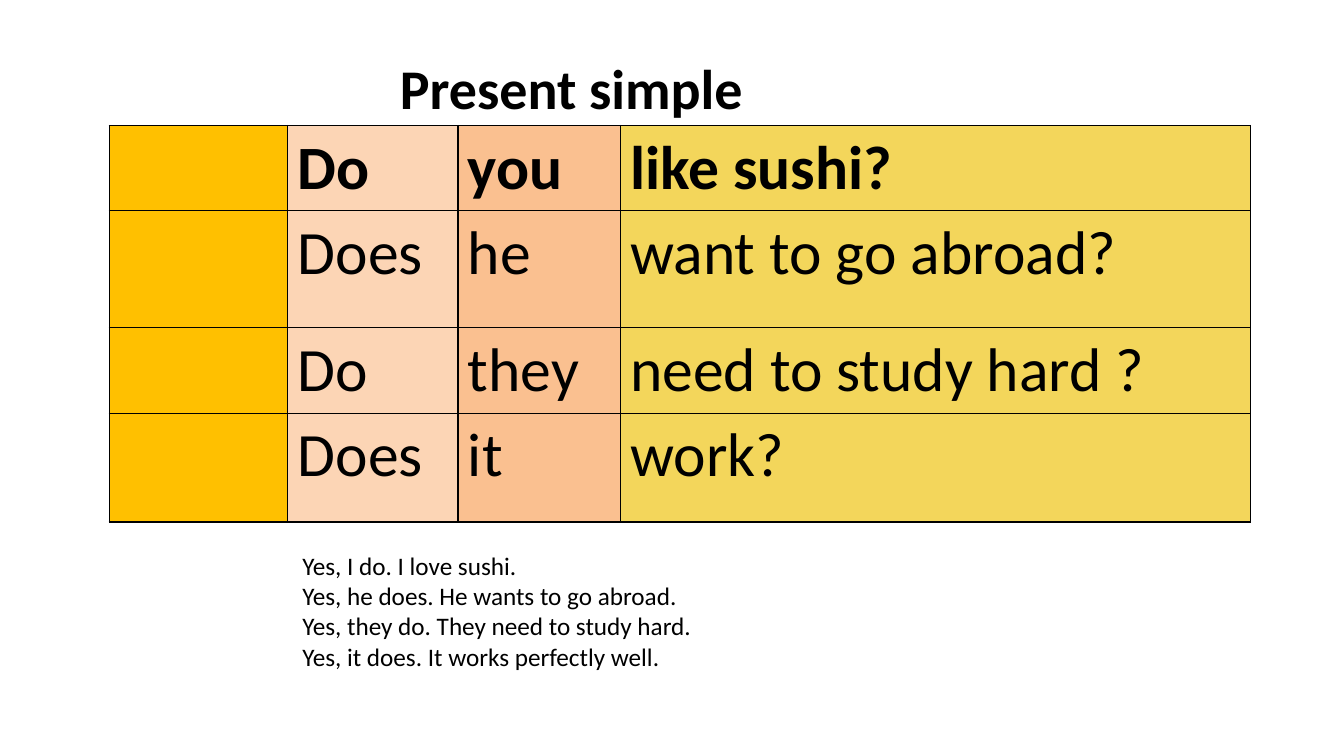
from dataclasses import dataclass

import pptx
import pptx.dml.color
import pptx.oxml
import pptx.oxml.ns
import pptx.presentation
import pptx.slide
import pptx.table
import pptx.text.text
import pptx.util
from pptx.dml.color import RGBColor
from pptx.util import Cm

BLACK = RGBColor(0x00, 0x00, 0x00)
AMBER = RGBColor(0xFF, 0xC0, 0x00)
PEACH = RGBColor(0xFC, 0xD5, 0xB5)
APRICOT = RGBColor(0xFA, 0xC0, 0x90)
YELLOW = RGBColor(0xF3, 0xD6, 0x5B)
FONT = "Calibri"


@dataclass(frozen=True)
class Column:
    width: float
    fill: RGBColor


@dataclass(frozen=True)
class Question:
    height: float
    words: tuple[str, str, str, str]
    bold: bool = False


@dataclass(frozen=True)
class TextBlock:
    left: float
    top: float
    width: float
    height: float
    size: int
    lines: tuple[str, ...]
    bold: bool = False


COLUMNS = (
    Column(4.5, AMBER),
    Column(4.29, PEACH),
    Column(4.09, APRICOT),
    Column(15.88, YELLOW),
)
QUESTIONS = (
    Question(2.03, ("", "Do", "you", "like sushi?"), bold=True),
    Question(2.95, ("", "Does", "he", "want to go abroad?")),
    Question(2.13, ("", "Do", "they", "need to study hard ?")),
    Question(2.74, ("", "Does", "it", "work?")),
)
ANSWERS = TextBlock(7.37, 13.74, 16.94, 3.33, 18, (
    "Yes, I do. I love sushi.",
    "Yes, he does. He wants to go abroad.",
    "Yes, they do. They need to study hard.",
    "Yes, it does. It works perfectly well.",
))
TITLE = TextBlock(9.83, 1.22, 15.93, 1.96, 40, ("Present simple",), bold=True)


def style_paragraph(para: pptx.text.text._Paragraph, size: int, bold: bool) -> None:
    para.font.name = FONT
    para.font.size = pptx.util.Pt(size)
    para.font.bold = bold
    para.font.color.rgb = BLACK


def add_borders(cell: pptx.table._Cell) -> None:
    properties = cell._tc.get_or_add_tcPr()
    for position, side in enumerate(("lnL", "lnR", "lnT", "lnB")):
        border = pptx.oxml.parse_xml(
            f'<a:{side} {pptx.oxml.ns.nsdecls("a")} w="12700">'
            f'<a:solidFill><a:srgbClr val="{BLACK}"/></a:solidFill></a:{side}>'
        )
        properties.insert(position, border)


def draw_questions(page: pptx.slide.Slide) -> None:
    width = sum(column.width for column in COLUMNS)
    height = sum(question.height for question in QUESTIONS)
    table = page.shapes.add_table(
        len(QUESTIONS), len(COLUMNS), Cm(2.75), Cm(3.16), Cm(width), Cm(height)
    ).table
    for index, column in enumerate(COLUMNS):
        table.columns[index].width = Cm(column.width)
    for row, question in enumerate(QUESTIONS):
        table.rows[row].height = Cm(question.height)
        for index, (column, word) in enumerate(zip(COLUMNS, question.words)):
            cell = table.cell(row, index)
            cell.fill.solid()
            cell.fill.fore_color.rgb = column.fill
            add_borders(cell)
            if word:
                cell.text = word
                style_paragraph(cell.text_frame.paragraphs[0], 44, question.bold)


def draw_text(page: pptx.slide.Slide, block: TextBlock) -> None:
    box = page.shapes.add_textbox(
        Cm(block.left), Cm(block.top), Cm(block.width), Cm(block.height)
    )
    box.text_frame.word_wrap = True
    box.text_frame.text = "\n".join(block.lines)
    for para in box.text_frame.paragraphs:
        style_paragraph(para, block.size, block.bold)


def main() -> None:
    deck = pptx.Presentation()
    deck.slide_width = Cm(33.87)
    deck.slide_height = Cm(19.05)
    page = deck.slides.add_slide(deck.slide_layouts[6])
    draw_questions(page)
    for block in (ANSWERS, TITLE):
        draw_text(page, block)
    deck.save("out.pptx")


if __name__ == "__main__":
    main()
